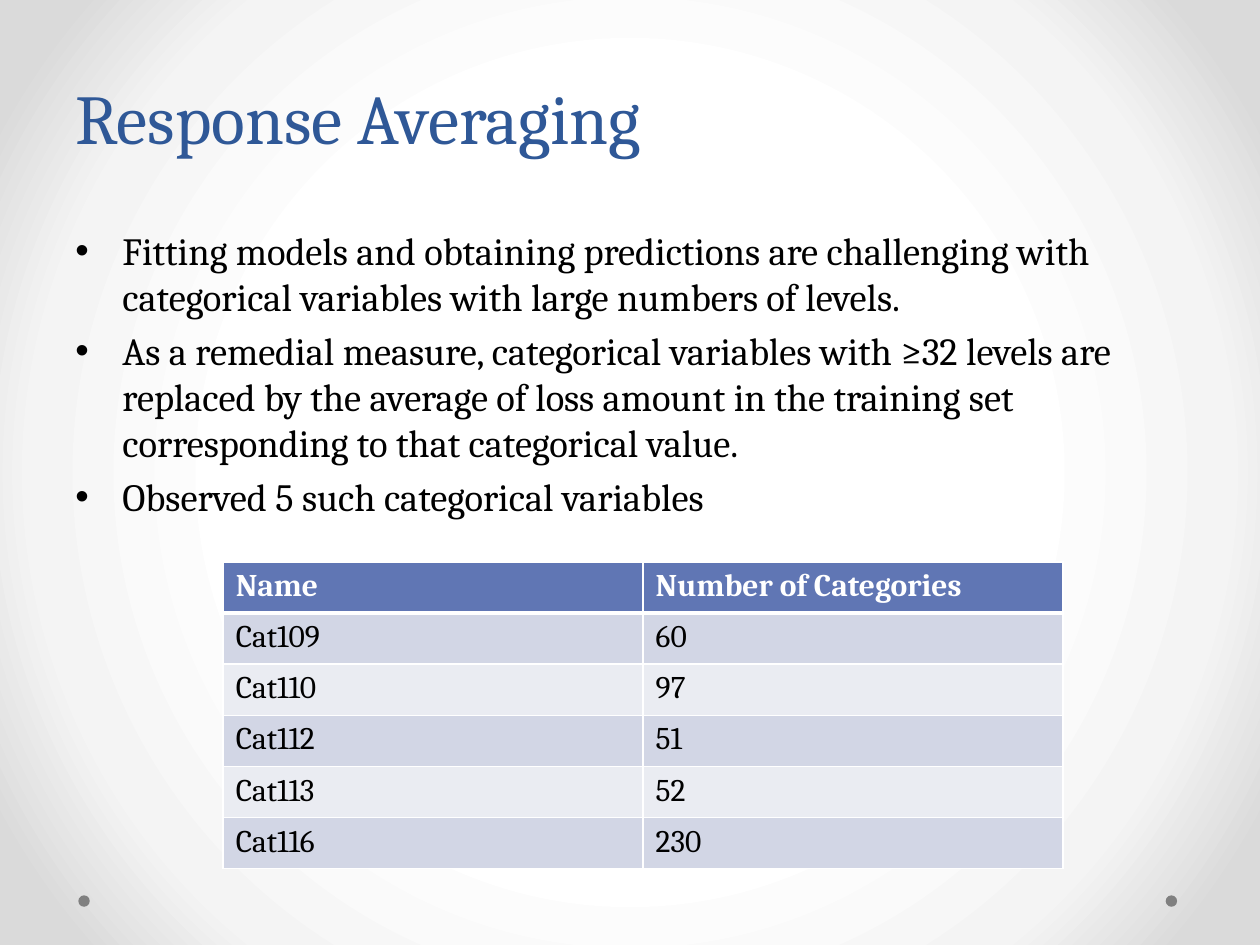
from pptx import Presentation
from pptx.dml.color import RGBColor
from pptx.enum.shapes import MSO_SHAPE
from pptx.enum.text import MSO_ANCHOR
from pptx.oxml import parse_xml
from pptx.oxml.ns import nsdecls
from pptx.util import Cm, Pt

FONT = "Cambria"
BLUE = RGBColor(0x2F, 0x58, 0x97)
BLACK = RGBColor(0x00, 0x00, 0x00)
WHITE = RGBColor(0xFF, 0xFF, 0xFF)
GRAY = RGBColor(0x80, 0x80, 0x80)
HEAD = RGBColor(0x60, 0x76, 0xB4)
BANDS = [RGBColor(0xEA, 0xEC, 0xF2), RGBColor(0xD2, 0xD6, 0xE5)]
GLOW = [(50, WHITE), (76, RGBColor(0xF4, 0xF4, 0xF4)), (92, RGBColor(0xDA, 0xDA, 0xDA))]


def style(para, size, color, bold=False):
    font = para.font
    font.name, font.size, font.bold = FONT, Pt(size), bold
    font.color.rgb = color


def add_box(left, top, width, height):
    frame = slide.shapes.add_textbox(Cm(left), Cm(top), Cm(width), Cm(height)).text_frame
    frame.word_wrap = True
    return frame


prs = Presentation()
prs.slide_width, prs.slide_height = Cm(25.4), Cm(19.05)
slide = prs.slides.add_slide(prs.slide_layouts[6])

# Radial background
stops = "".join(f'<a:gs pos="{pos * 1000}"><a:srgbClr val="{color}"/></a:gs>' for pos, color in GLOW)
slide.element.cSld.insert(0, parse_xml(
    f'<p:bg {nsdecls("p", "a")}><p:bgPr><a:gradFill rotWithShape="1"><a:gsLst>{stops}</a:gsLst>'
    '<a:path path="circle"><a:fillToRect l="50000" t="50000" r="50000" b="50000"/></a:path>'
    '</a:gradFill><a:effectLst/></p:bgPr></p:bg>'))

# Corner dots
for left in (23.5, 1.58):
    dot = slide.shapes.add_shape(MSO_SHAPE.OVAL, Cm(left), Cm(18.05), Cm(0.23), Cm(0.23))
    dot.shadow.inherit = False
    dot.fill.solid()
    dot.fill.fore_color.rgb = GRAY
    dot.line.fill.background()

# Title
title = add_box(1.27, 0, 22.86, 3.33)
title.vertical_anchor = MSO_ANCHOR.BOTTOM
para = title.paragraphs[0]
para.text = "Response Averaging"
para.line_spacing = Pt(58)
style(para, 40, BLUE)

# Bullets
points = [
    "Fitting models and obtaining predictions are challenging with categorical variables "
    "with large numbers of levels.",
    "As a remedial measure, categorical variables with ≥32 levels are replaced by the average "
    "of loss amount in the training set corresponding to that categorical value.",
    "Observed 5 such categorical variables",
]
body = add_box(1.27, 4.45, 22.86, 12.57)
for i, text in enumerate(points):
    para = body.paragraphs[0] if i == 0 else body.add_paragraph()
    para.text = text
    para.space_before = Pt(4.4)
    style(para, 22, BLACK)
    props = para._p.get_or_add_pPr()
    props.set("marL", str(Cm(0.95)))
    props.set("indent", str(-Cm(0.95)))
    bullet = (f'<a:buFont {nsdecls("a")} typeface="Arial"/>', f'<a:buChar {nsdecls("a")} char="•"/>')
    for k, xml in enumerate(bullet):
        props.insert(1 + k, parse_xml(xml))

# Table
rows = [("Name", "Number of Categories"), ("Cat109", "60"), ("Cat110", "97"),
        ("Cat112", "51"), ("Cat113", "52"), ("Cat116", "230")]
table = slide.shapes.add_table(len(rows), 2, Cm(4.5), Cm(11.33), Cm(16.93), Cm(6.18)).table
for r, row in enumerate(rows):
    for c, text in enumerate(row):
        cell = table.cell(r, c)
        cell.text = text
        style(cell.text_frame.paragraphs[0], 18, BLACK if r else WHITE, r == 0)
        cell.fill.solid()
        cell.fill.fore_color.rgb = BANDS[r % 2] if r else HEAD
        # White rules, thick under the header
        wide = {"T": 3 if r == 1 else 1, "B": 3 if r == 0 else 1}
        for k, side in enumerate("LRTB"):
            cell._tc.get_or_add_tcPr().insert(k, parse_xml(
                f'<a:ln{side} {nsdecls("a")} w="{Pt(wide.get(side, 1))}"><a:solidFill>'
                f'<a:srgbClr val="{WHITE}"/></a:solidFill></a:ln{side}>'))

prs.save("out.pptx")
